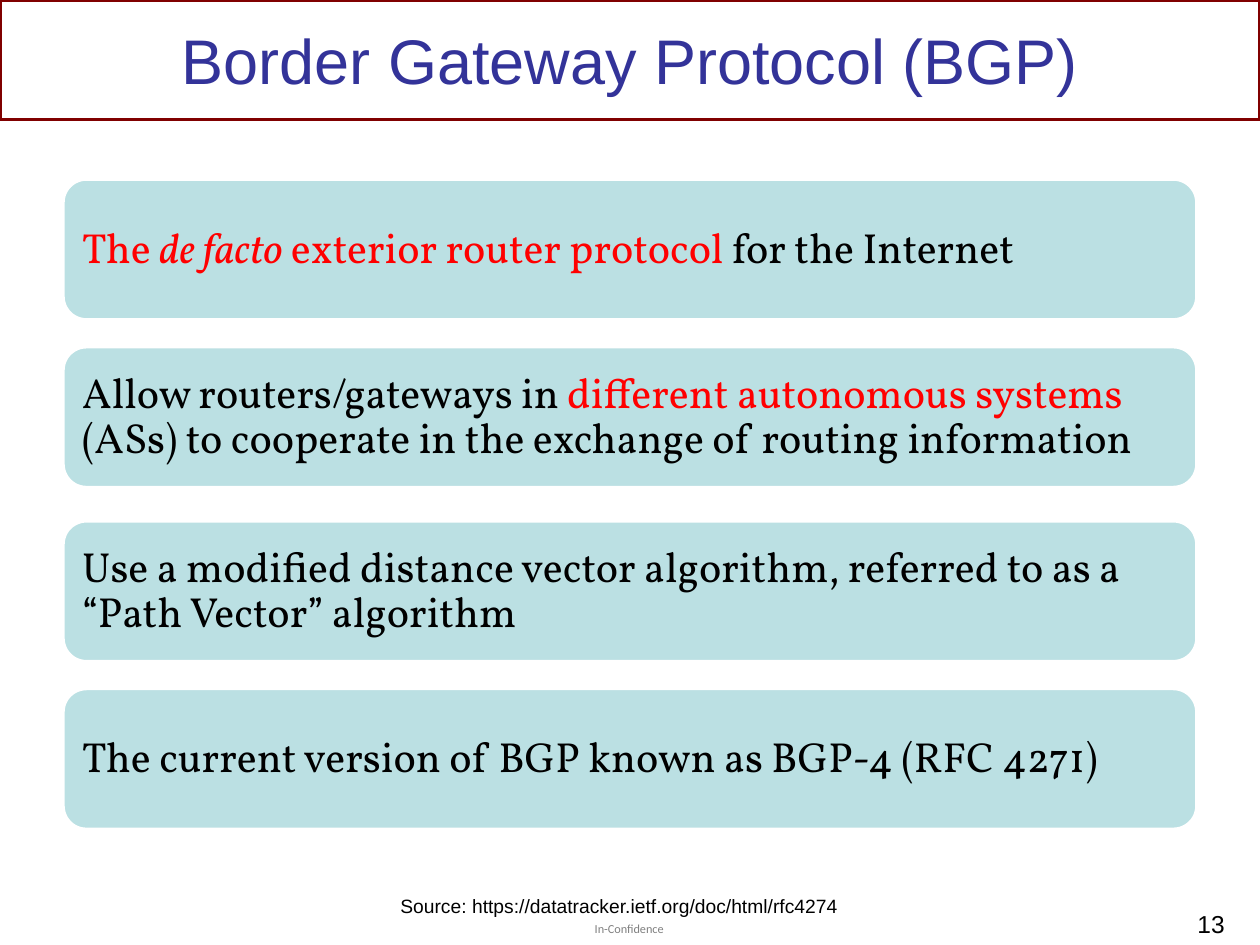
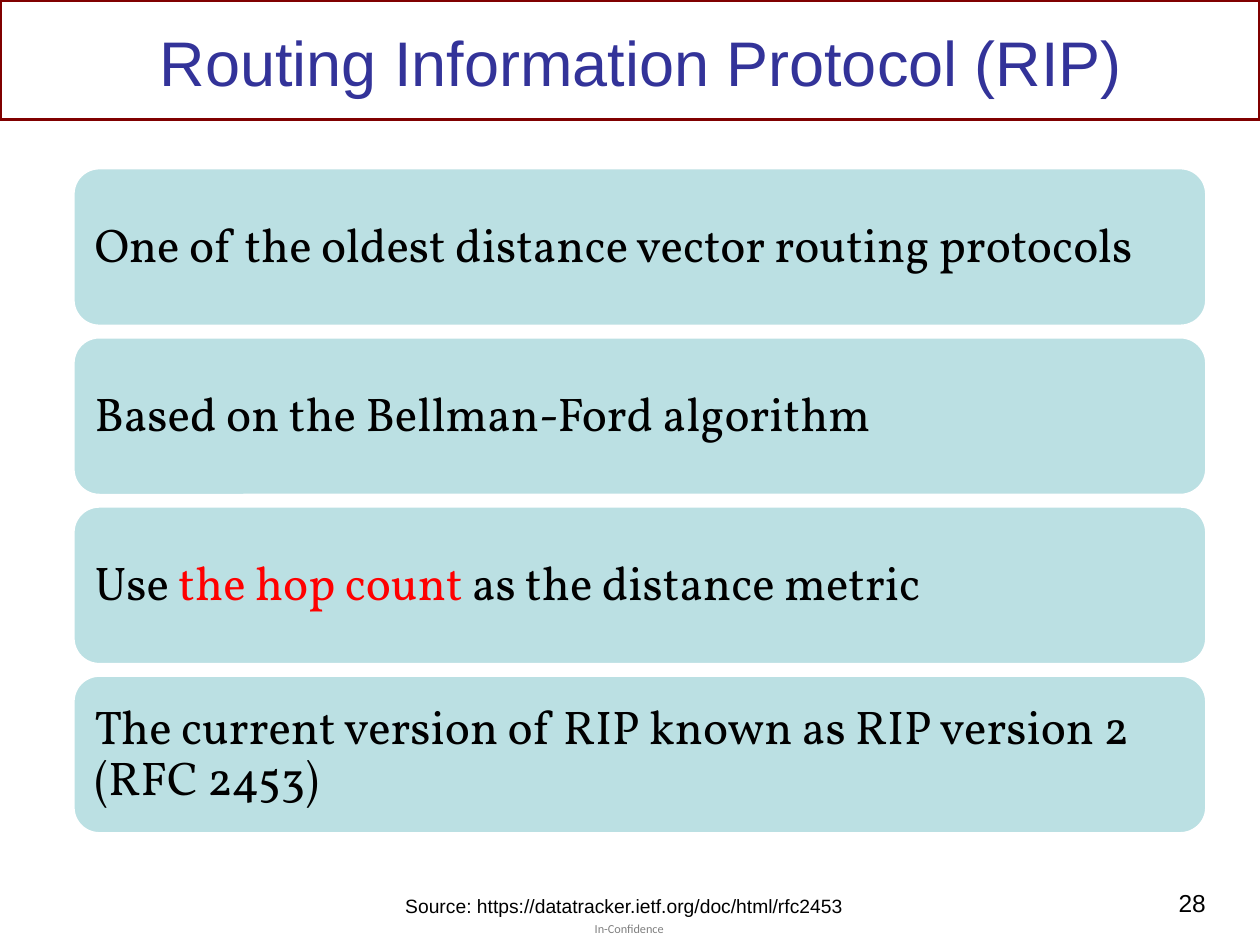
import pptx
import pptx.dml.color
import pptx.enum.shapes
import pptx.enum.text
import pptx.util

Cm = pptx.util.Cm
ALIGN = pptx.enum.text.PP_ALIGN
ANCHOR = pptx.enum.text.MSO_ANCHOR
SHAPE = pptx.enum.shapes.MSO_SHAPE

MAROON, INDIGO, PALE_TEAL = "800000", "333399", "BBE0E3"
BLACK, RED, GREY, WHITE = "000000", "FF0000", "808080", "FFFFFF"

# Each statement is a list of (text, style); styles are listed in RUN_STYLES.
RUN_STYLES = {"plain": (BLACK, None), "key": (RED, None), "key italic": (RED, True)}

# Boxes are left, top, width, height in centimetres.
SLIDES = [
    {
        "title": "Border Gateway Protocol (BGP)",
        "title_box": (1.27, 0.2, 22.86, 2.01),
        "statements": [
            [("The ", "key"), ("de facto", "key italic"),
             (" exterior router protocol", "key"), (" for the Internet", "plain")],
            [("Allow routers/gateways in ", "plain"),
             ("different autonomous systems ", "key"),
             ("(ASs) to cooperate in the exchange of routing information", "plain")],
            [("Use a modified distance vector algorithm, referred to as a "
              "“Path Vector” algorithm", "plain")],
            [("The current version of BGP known as BGP-4 (RFC 4271)", "plain")],
        ],
        "cards": {"left": 1.27, "top": 3.61, "height": 2.84, "pitch": 3.38,
                  "pair_gap": 0.13, "inset": 0.25, "size": 24},
        "source": "Source: https://datatracker.ietf.org/doc/html/rfc4274",
        "source_box": (7.82, 17.91, 9.75, 0.74),
        "number": "13",
        "number_box": (19.35, 18.21, 5.59, 0.76),
    },
    {
        "title": "Routing Information Protocol (RIP)",
        "title_box": (1.57, -0.36, 22.71, 3.18),
        "statements": [
            [("One of the oldest distance vector routing protocols", "plain")],
            [("Based on the Bellman-Ford algorithm", "plain")],
            [("Use ", "plain"), ("the hop count ", "key"),
             ("as the distance metric", "plain")],
            [("The current version of RIP known as RIP version 2 (RFC 2453)", "plain")],
        ],
        "cards": {"left": 1.47, "top": 3.38, "height": 3.2, "pitch": 3.41,
                  "pair_gap": 0, "inset": 0.28, "size": 27},
        "source": "Source: https://datatracker.ietf.org/doc/html/rfc2453",
        "source_box": (7.92, 17.91, 9.53, 0.74),
        "number": "28",
        "number_box": (22.68, 17.78, 1.88, 1.27),
    },
]

CARD_WIDTH = 22.86
BAND_BOX = (0, 0, 25.4, 2.41)
CONFIDENTIALITY = "In-Confidence"
CONFIDENTIALITY_BOX = (11.99, 18.57, 1.5, 0.3)


def rgb(colour):
    return pptx.dml.color.RGBColor.from_string(colour)


def lengths(box):
    return [Cm(value) for value in box]


def set_font(font, name, size, colour):
    font.name, font.size = name, pptx.util.Pt(size)
    font.color.rgb = rgb(colour)


def set_insets(frame, inset):
    frame.margin_left = frame.margin_right = Cm(inset)
    frame.margin_top = frame.margin_bottom = Cm(inset)


def add_outlined(slide, kind, box, line):
    shape = slide.shapes.add_shape(kind, *lengths(box))
    shape.shadow.inherit = False
    shape.line.color.rgb = rgb(line)
    shape.line.width = pptx.util.Pt(2)
    return shape


def add_label(slide, text, box, size, name="Arial", colour=BLACK, align=ALIGN.LEFT):
    frame = slide.shapes.add_textbox(*lengths(box)).text_frame
    frame.word_wrap = True
    label = frame.paragraphs[0]
    label.text, label.alignment = text, align
    set_font(label.font, name, size, colour)
    return frame


def add_frame(slide):
    """Add the title band and the confidentiality footer."""
    add_outlined(slide, SHAPE.RECTANGLE, BAND_BOX, MAROON).fill.background()
    footer = add_label(slide, CONFIDENTIALITY, CONFIDENTIALITY_BOX, 7, "Calibri", GREY)
    set_insets(footer, 0)


def set_title(slide, text, box):
    title = slide.shapes.title
    title.left, title.top, title.width, title.height = lengths(box)
    frame = title.text_frame
    frame.text = text
    frame.vertical_anchor = ANCHOR.MIDDLE
    frame.auto_size = pptx.enum.text.MSO_AUTO_SIZE.NONE
    frame.paragraphs[0].alignment = ALIGN.CENTER
    set_font(frame.paragraphs[0].font, "Arial", 36, INDIGO)


def add_card(slide, statement, box, inset, size):
    card = add_outlined(slide, SHAPE.ROUNDED_RECTANGLE, box, WHITE)
    card.fill.solid()
    card.fill.fore_color.rgb = rgb(PALE_TEAL)
    frame = card.text_frame
    frame.word_wrap = True
    frame.vertical_anchor = ANCHOR.MIDDLE
    set_insets(frame, inset)
    line = frame.paragraphs[0]
    line.alignment, line.line_spacing = ALIGN.LEFT, 0.9
    set_font(line.font, "Vollkorn", size, BLACK)
    for text, style in statement:
        run = line.add_run()
        run.text = text
        colour, run.font.italic = RUN_STYLES[style]
        run.font.color.rgb = rgb(colour)


def add_cards(slide, statements, cards):
    """Stack the statements evenly, with pair_gap added between pairs."""
    for index, statement in enumerate(statements):
        top = cards["top"] + index * cards["pitch"] + index // 2 * cards["pair_gap"]
        box = (cards["left"], top, CARD_WIDTH, cards["height"])
        add_card(slide, statement, box, cards["inset"], cards["size"])


def main():
    deck = pptx.Presentation()
    deck.slide_width, deck.slide_height = Cm(25.4), Cm(19.05)
    title_only = deck.slide_layouts.get_by_name("Title Only")
    for content in SLIDES:
        slide = deck.slides.add_slide(title_only)
        add_frame(slide)
        set_title(slide, content["title"], content["title_box"])
        add_cards(slide, content["statements"], content["cards"])
        add_label(slide, content["number"], content["number_box"], 14, align=ALIGN.RIGHT)
        add_label(slide, content["source"], content["source_box"], 11)
    deck.save("out.pptx")


if __name__ == "__main__":
    main()
